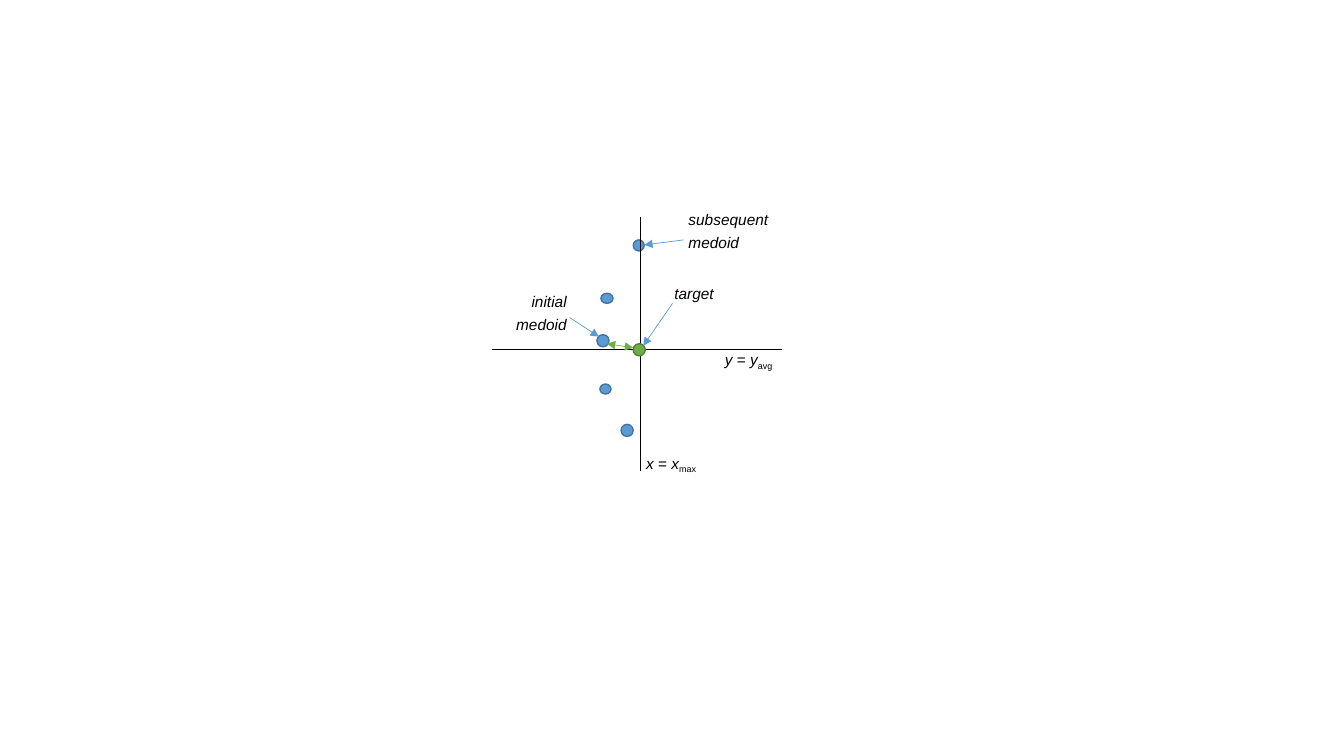
from pptx import Presentation
from pptx.dml.color import RGBColor
from pptx.enum import shapes, text
from pptx.oxml import ns, xmlchemy
from pptx.util import Inches, Pt

COLORS = {
    "black": "000000",
    "blue": "5B9BD5",
    "blue_edge": "43739E",
    "green": "70AD47",
    "green_edge": "538035",
}


def color(name):
    return RGBColor.from_string(COLORS[name])


def add_point(page, left, top, width, height, fill="blue"):
    point = page.shapes.add_shape(
        shapes.MSO_SHAPE.OVAL, *map(Inches, (left, top, width, height)))
    point.shadow.inherit = False
    point.fill.solid()
    point.fill.fore_color.rgb = color(fill)
    point.line.color.rgb = color(fill + "_edge")
    point.line.width = Pt(1)


def add_line(page, start, end, stroke="black", width=0.75, arrows=()):
    """Draw a line; arrows lists the ends ("head", "tail") that get a triangle."""
    line = page.shapes.add_connector(
        shapes.MSO_CONNECTOR.STRAIGHT, *map(Inches, start + end))
    line.line.color.rgb = color(stroke)
    line.line.width = Pt(width)
    for side in arrows:
        arrow = xmlchemy.OxmlElement(f"a:{side}End")
        arrow.set("type", "triangle")
        line.line._get_or_add_ln().append(arrow)
    line._element.spPr.append(xmlchemy.OxmlElement("a:effectLst"))


def add_span(para, words, italic=True, subscript=False):
    span = para.add_run()
    span.text = words
    span.font.name = "Arial"
    span.font.size = Pt(11)
    span.font.italic = italic
    span.font.color.rgb = color("black")
    if subscript:
        span.font._element.set("baseline", "-25000")


def add_label(page, left, top, width, height, lines, wrap=False,
              align=text.PP_ALIGN.LEFT, spacing=1.15, after=0):
    """Write one paragraph per line; each line is a list of (words, format)."""
    box = page.shapes.add_textbox(*map(Inches, (left, top, width, height)))
    frame = box.text_frame
    frame.word_wrap = wrap
    for index, spans in enumerate(lines):
        para = frame.add_paragraph() if index else frame.paragraphs[0]
        para.alignment = align
        para.line_spacing = spacing
        para.space_after = Pt(after)
        for words, style in spans:
            add_span(para, words, **style)


def equation(variable, index):
    return [[(variable, {}), (" = ", {"italic": False}), (variable, {}),
             (index, {"italic": False, "subscript": True})]]


def add_medoid_label(page, left, top, width, kind, align):
    add_label(page, left, top, width, 0.66, [[(kind, {})], [("medoid", {})]],
              wrap=True, align=align, spacing=1.0, after=3)


def main():
    deck = Presentation()
    deck.slide_width, deck.slide_height = Inches(13.33), Inches(7.5)
    page = deck.slides.add_slide(deck.slide_layouts[6])

    # Data points
    for place in [(5.96, 2.91, 0.12, 0.1), (6.16, 4.21, 0.12, 0.12),
                  (5.95, 3.81, 0.11, 0.1), (6.28, 2.38, 0.11, 0.11),
                  (5.92, 3.32, 0.12, 0.12)]:
        add_point(page, *place)

    # Axes and their equations
    add_line(page, (6.35, 2.15), (6.35, 4.67))
    add_line(page, (7.76, 3.47), (4.88, 3.47))
    add_label(page, 6.31, 4.42, 0.72, 0.35, equation("x", "max"))
    add_label(page, 7.09, 3.39, 0.69, 0.35, equation("y", "avg"))

    # Target
    add_point(page, 6.28, 3.41, 0.12, 0.12, fill="green")
    add_label(page, 6.59, 2.74, 0.6, 0.35, [[("target", {})]])

    # Medoid labels
    add_medoid_label(page, 5.01, 2.85, 0.71, "initial", text.PP_ALIGN.RIGHT)
    add_medoid_label(page, 6.73, 2.04, 1, "subsequent", text.PP_ALIGN.LEFT)

    # Pointers from labels to points
    for start, end in [((6.67, 3.01), (6.38, 3.43)),
                       ((5.65, 3.15), (5.94, 3.34)),
                       ((6.78, 2.38), (6.39, 2.43))]:
        add_line(page, start, end, "blue", 0.5, ["tail"])

    # Distance from initial medoid to target
    add_line(page, (6.02, 3.41), (6.28, 3.45), "green", 0.5, ["head", "tail"])

    deck.save("out.pptx")


if __name__ == "__main__":
    main()
